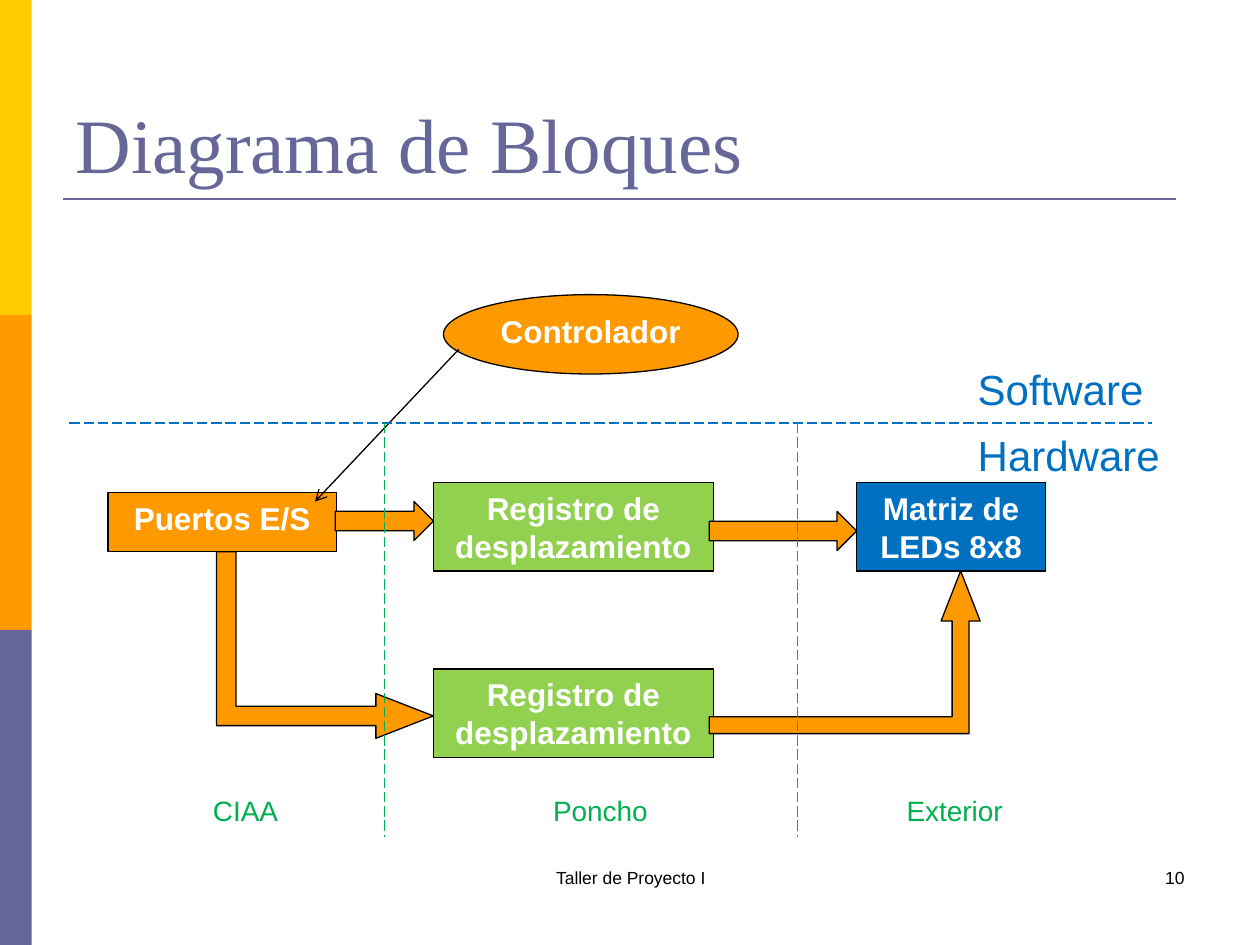
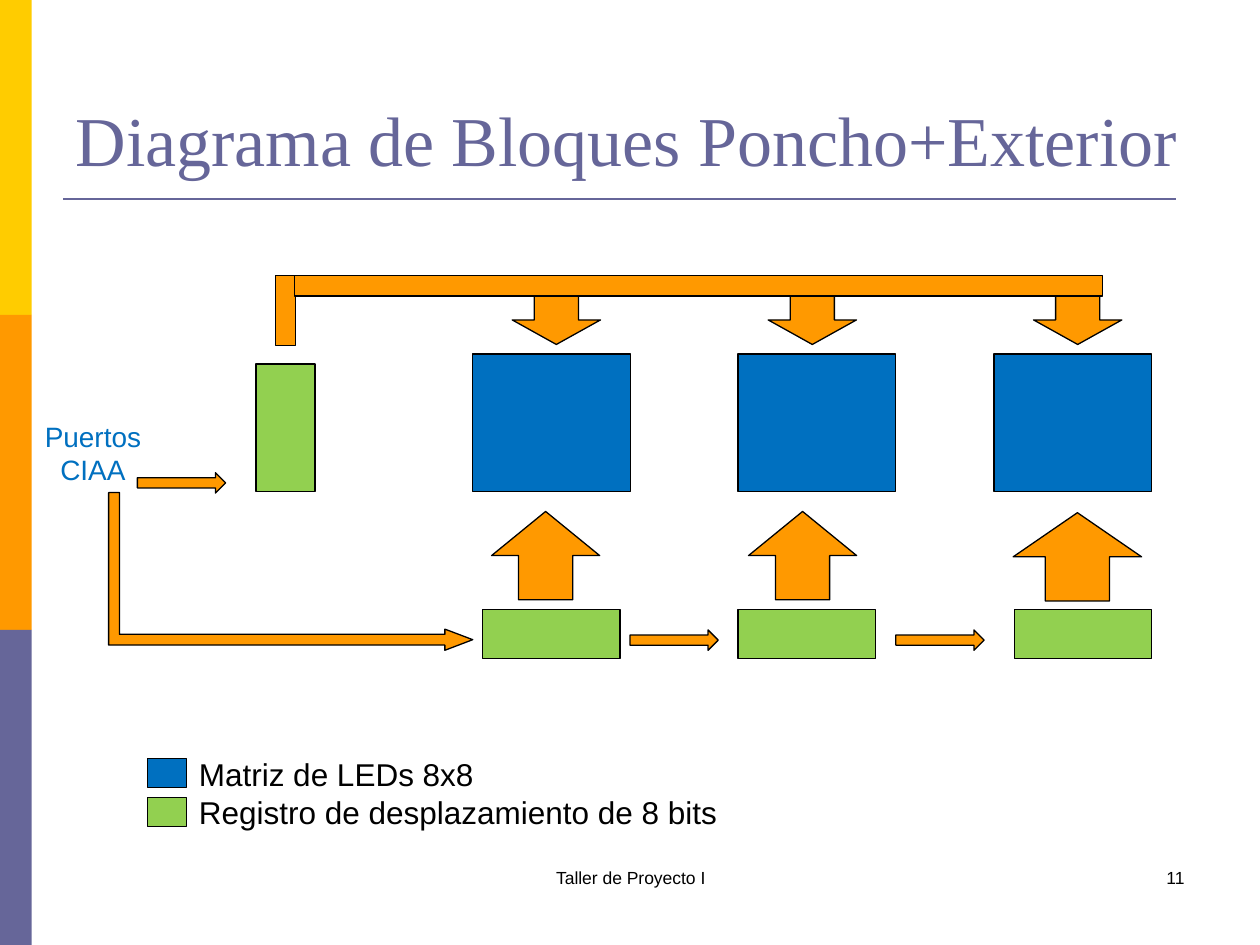
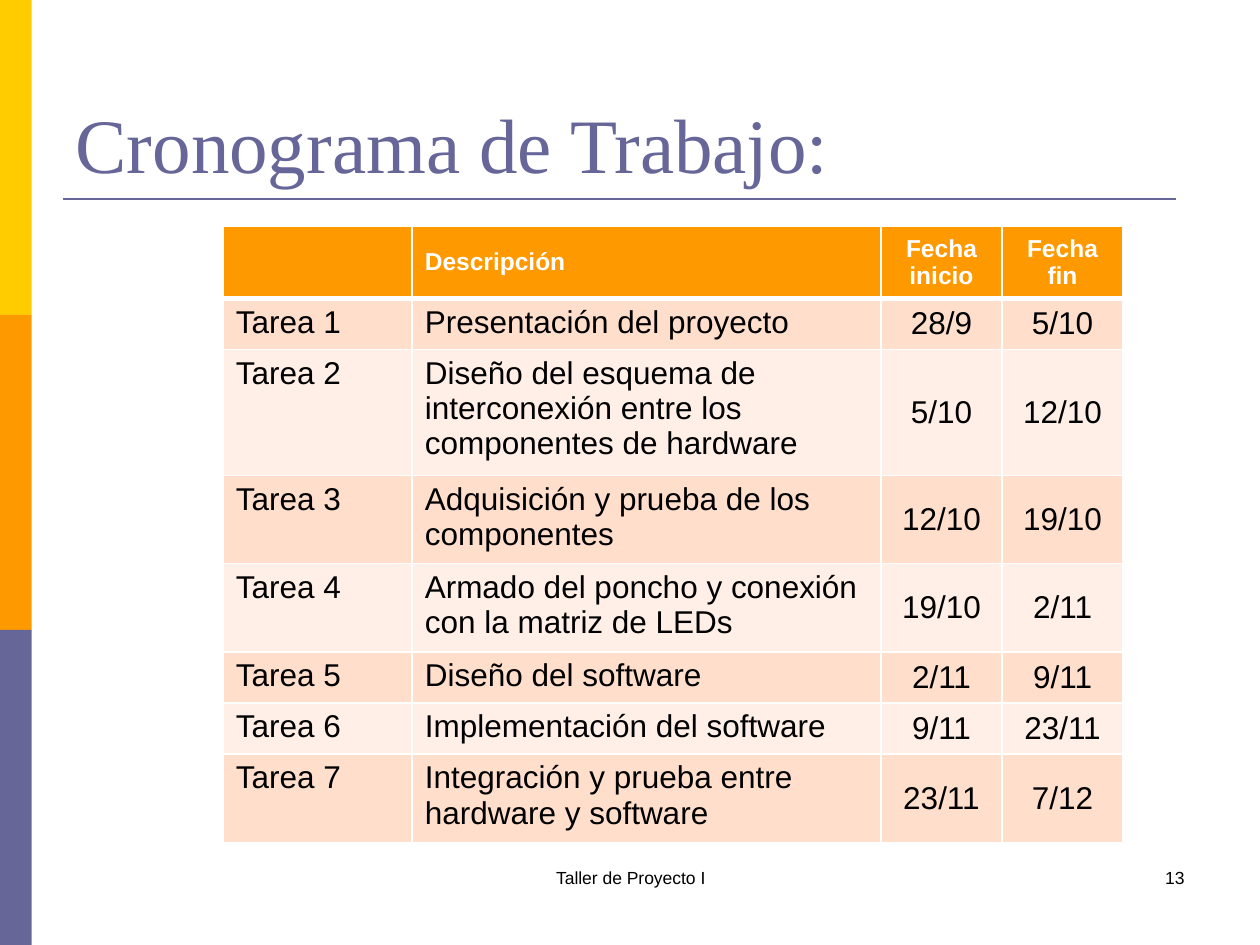
from lxml.etree import SubElement
from pptx import Presentation
from pptx.dml.color import RGBColor
from pptx.enum.dml import MSO_LINE
from pptx.enum.shapes import MSO_CONNECTOR, MSO_SHAPE
from pptx.enum.text import MSO_ANCHOR, MSO_AUTO_SIZE, PP_ALIGN
from pptx.oxml.ns import qn
from pptx.util import Cm, Pt

COLORS = {
    "yellow": "FFCC00", "orange": "FF9900", "violet": "666699",
    "green": "92D050", "blue": "0070C0", "label": "00B050",
    "black": "000000", "white": "FFFFFF",
    "row_dark": "FFDECC", "row_light": "FFEFE7",
}
TITLE_FONT = "Times New Roman"
BODY_FONT = "Arial"
FOOTER = "Taller de Proyecto I"


def color(name):
    return RGBColor.from_string(COLORS[name])


class Deck:
    """Holds the shared style and the slide being built."""

    def __init__(self):
        self.presentation = Presentation()
        self.presentation.slide_width = Cm(25.4)
        self.presentation.slide_height = Cm(19.05)
        self.slide = None

    def new_slide(self, title, number, size=44, title_top=0.76):
        layout = self.presentation.slide_layouts[5]
        self.slide = self.presentation.slides.add_slide(layout)
        for index, band in enumerate(("yellow", "orange", "violet")):
            self.shape(MSO_SHAPE.RECTANGLE, 0, index * 6.35, 0.64, 6.35, band, outline=False)
        self.line(1.27, 4.01, 23.7, 4.01, "violet", width=1.5)

        placeholder = self.slide.shapes.title
        placeholder.left, placeholder.top = Cm(1.27), Cm(title_top)
        placeholder.width, placeholder.height = Cm(22.86), Cm(3.18)
        frame = placeholder.text_frame
        frame.auto_size = MSO_AUTO_SIZE.NONE
        frame.vertical_anchor = MSO_ANCHOR.BOTTOM
        self.add_lines(frame, [title], size, "violet", PP_ALIGN.LEFT, font=TITLE_FONT)

        self.text([FOOTER], 8.69, 17.35, 8.05, 1.27, 10, "black")
        self.text([str(number)], 18.21, 17.35, 5.92, 1.27, 10, "black", PP_ALIGN.RIGHT)

    def add_lines(self, frame, lines, size, ink, align, bold=False, font=BODY_FONT):
        frame.word_wrap = True
        for index, line in enumerate(lines):
            paragraph = frame.add_paragraph() if index else frame.paragraphs[0]
            paragraph.alignment = align
            run = paragraph.add_run()
            run.text = line
            run.font.name, run.font.size, run.font.bold = font, Pt(size), bold
            run.font.color.rgb = color(ink)

    def text(self, lines, left, top, width, height, size, ink, align=PP_ALIGN.CENTER):
        box = self.slide.shapes.add_textbox(Cm(left), Cm(top), Cm(width), Cm(height))
        self.add_lines(box.text_frame, lines, size, ink, align)

    def shape(self, kind, left, top, width, height, fill, rotation=0,
              adjustments=(), outline=True):
        shape = self.slide.shapes.add_shape(kind, Cm(left), Cm(top), Cm(width), Cm(height))
        shape.shadow.inherit = False
        shape.rotation = rotation
        for index, value in enumerate(adjustments):
            shape.adjustments[index] = value
        shape.fill.solid()
        shape.fill.fore_color.rgb = color(fill)
        if outline:
            shape.line.color.rgb = color("black")
            shape.line.width = Pt(0.75)
        else:
            shape.line.fill.background()
        return shape

    def block(self, left, top, width, height, fill, lines=(), kind=MSO_SHAPE.RECTANGLE):
        shape = self.shape(kind, left, top, width, height, fill)
        shape.text_frame.vertical_anchor = MSO_ANCHOR.TOP
        self.add_lines(shape.text_frame, lines, 18, "white", PP_ALIGN.CENTER, bold=True)

    def arrow(self, left, top, width, height, rotation=0):
        self.shape(MSO_SHAPE.RIGHT_ARROW, left, top, width, height, "orange", rotation)

    def bent_arrow(self, left, top, width, height, adjustments, rotation=0):
        self.shape(MSO_SHAPE.BENT_UP_ARROW, left, top, width, height, "orange",
                   rotation, adjustments)

    def line(self, x1, y1, x2, y2, ink, width=0.75, dashed=False, arrowhead=False):
        connector = self.slide.shapes.add_connector(
            MSO_CONNECTOR.STRAIGHT, Cm(x1), Cm(y1), Cm(x2), Cm(y2))
        connector.line.color.rgb = color(ink)
        connector.line.width = Pt(width)
        if dashed:
            connector.line.dash_style = MSO_LINE.LONG_DASH
        properties = connector._element.spPr
        if arrowhead:
            SubElement(properties.find(qn("a:ln")), qn("a:tailEnd"), type="arrow")
        SubElement(properties, qn("a:effectLst"))

    def table(self, rows, left, top, widths, heights):
        frame = self.slide.shapes.add_table(
            len(rows), len(widths), Cm(left), Cm(top), Cm(sum(widths)), Cm(sum(heights)))
        table = frame.table
        for column, width in zip(table.columns, widths):
            column.width = Cm(width)
        for row_index, (values, height) in enumerate(zip(rows, heights)):
            table.rows[row_index].height = Cm(height)
            for column_index, value in enumerate(values):
                self.fill_cell(table.cell(row_index, column_index), value,
                               row_index, column_index)

    def fill_cell(self, cell, value, row, column):
        header, is_date = row == 0, column >= 2
        self.border_cell(cell, top=3 if row == 1 else 1, bottom=3 if header else 1)
        cell.fill.solid()
        band = "row_dark" if row % 2 else "row_light"
        cell.fill.fore_color.rgb = color("orange" if header else band)
        cell.vertical_anchor = MSO_ANCHOR.MIDDLE if header or is_date else MSO_ANCHOR.TOP
        if value:
            self.add_lines(cell.text_frame, [value], 14 if header else 18,
                           "white" if header else "black",
                           PP_ALIGN.CENTER if is_date else PP_ALIGN.LEFT, bold=header)

    def border_cell(self, cell, top, bottom):
        properties = cell._tc.get_or_add_tcPr()
        for side, width in (("L", 1), ("R", 1), ("T", top), ("B", bottom)):
            border = SubElement(properties, qn(f"a:ln{side}"), w=str(Pt(width)))
            fill = SubElement(border, qn("a:solidFill"))
            SubElement(fill, qn("a:srgbClr"), val=COLORS["white"])


def block_diagram(deck):
    deck.new_slide("Diagrama de Bloques", 10)
    deck.block(2.18, 9.93, 4.6, 1.19, "orange", ["Puertos E/S"])
    deck.block(8.94, 5.94, 5.94, 1.6, "orange", ["Controlador"], MSO_SHAPE.OVAL)
    deck.line(9.25, 7.04, 6.35, 10.11, "black", arrowhead=True)
    for top in (9.73, 13.49):
        deck.block(8.74, top, 5.64, 1.78, "green", ["Registro de", "desplazamiento"])
    deck.block(17.27, 9.73, 3.81, 1.78, "blue", ["Matriz de LEDs 8x8"])

    deck.arrow(6.76, 10.11, 1.98, 0.79)
    deck.arrow(14.3, 10.31, 2.97, 0.79)
    bend = (0.104, 0.12, 0.308)
    deck.bent_arrow(4.67, 10.82, 3.76, 4.37, bend, rotation=90)
    deck.bent_arrow(14.3, 11.51, 5.46, 3.28, bend)

    boundary = 8.53
    deck.line(1.4, boundary, 23.22, boundary, "blue", dashed=True)
    for label, top in (("Software", 7.21), ("Hardware", boundary)):
        deck.text([label], 19.46, top, 4.78, 1.27, 24, "blue", PP_ALIGN.LEFT)
    for x in (7.75, 16.08):
        deck.line(x, boundary, x, 16.87, "label", dashed=True)
    for label, left, width in (("CIAA", 3.96, 1.98), ("Poncho", 10.72, 2.77),
                               ("Exterior", 17.86, 2.77)):
        deck.text([label], left, 15.88, width, 0.94, 16, "label")


def external_diagram(deck):
    deck.new_slide("Diagrama de Bloques Poncho+Exterior", 11, size=40, title_top=0.58)
    deck.block(5.16, 7.34, 1.19, 2.57, "green")
    deck.text(["Puertos", "CIAA"], 0.58, 8.33, 2.59, 1.63, 16, "blue")
    deck.bent_arrow(4.27, 7.85, 3.18, 7.34, (0.068, 0.067, 0.177), rotation=90)

    for left in (9.73, 14.88, 20.45):
        deck.block(left, 12.29, 2.77, 0.99, "green")
    for left in (9.53, 14.88, 20.04):
        deck.block(left, 7.14, 3.18, 2.77, "blue")
    for left, top in ((2.77, 9.53), (12.7, 12.7), (18.06, 12.7)):
        deck.arrow(left, top, 1.78, 0.41)
    for left, top, height in ((10.11, 10.11, 2.18), (15.29, 10.11, 2.18),
                              (20.83, 9.93, 2.59)):
        deck.arrow(left, top, 1.78, height, rotation=270)
    for left in (10.72, 15.88, 21.23):
        deck.arrow(left, 5.56, 0.99, 1.78, rotation=90)
    deck.block(5.55, 5.56, 0.41, 1.4, "orange")
    deck.block(5.94, 5.56, 16.28, 0.41, "orange")

    deck.text(["Matriz de LEDs 8x8", "Registro de desplazamiento de 8 bits"],
              3.76, 15.09, 11.13, 1.8, 18, "black", PP_ALIGN.LEFT)
    for top, fill in ((15.29, "blue"), (16.08, "green")):
        deck.block(2.97, top, 0.79, 0.58, fill)


def schedule(deck):
    deck.new_slide("Cronograma de Trabajo:", 13)
    tasks = [
        ("Presentación del proyecto", 1),
        ("Diseño del esquema de interconexión entre los componentes de hardware", 3),
        ("Adquisición y prueba de los componentes", 2),
        ("Armado del poncho y conexión con la matriz de LEDs", 2),
        ("Diseño del software", 1),
        ("Implementación del software", 1),
        ("Integración y prueba entre hardware y software", 2),
    ]
    dates = ["28/9", "5/10", "12/10", "19/10", "2/11", "9/11", "23/11", "7/12"]
    height_by_lines = {1: 1.03, 2: 1.68, 3: 2.38}
    rows = [("", "Descripción", "Fecha inicio", "Fecha fin")]
    heights = [1.35]
    for index, (description, line_count) in enumerate(tasks):
        rows.append((f"Tarea {index + 1}", description, dates[index], dates[index + 1]))
        heights.append(height_by_lines[line_count])
    deck.table(rows, 4.5, 4.57, (3.81, 9.45, 2.44, 2.44), heights)


def main():
    deck = Deck()
    block_diagram(deck)
    external_diagram(deck)
    schedule(deck)
    deck.presentation.save("out.pptx")


if __name__ == "__main__":
    main()
